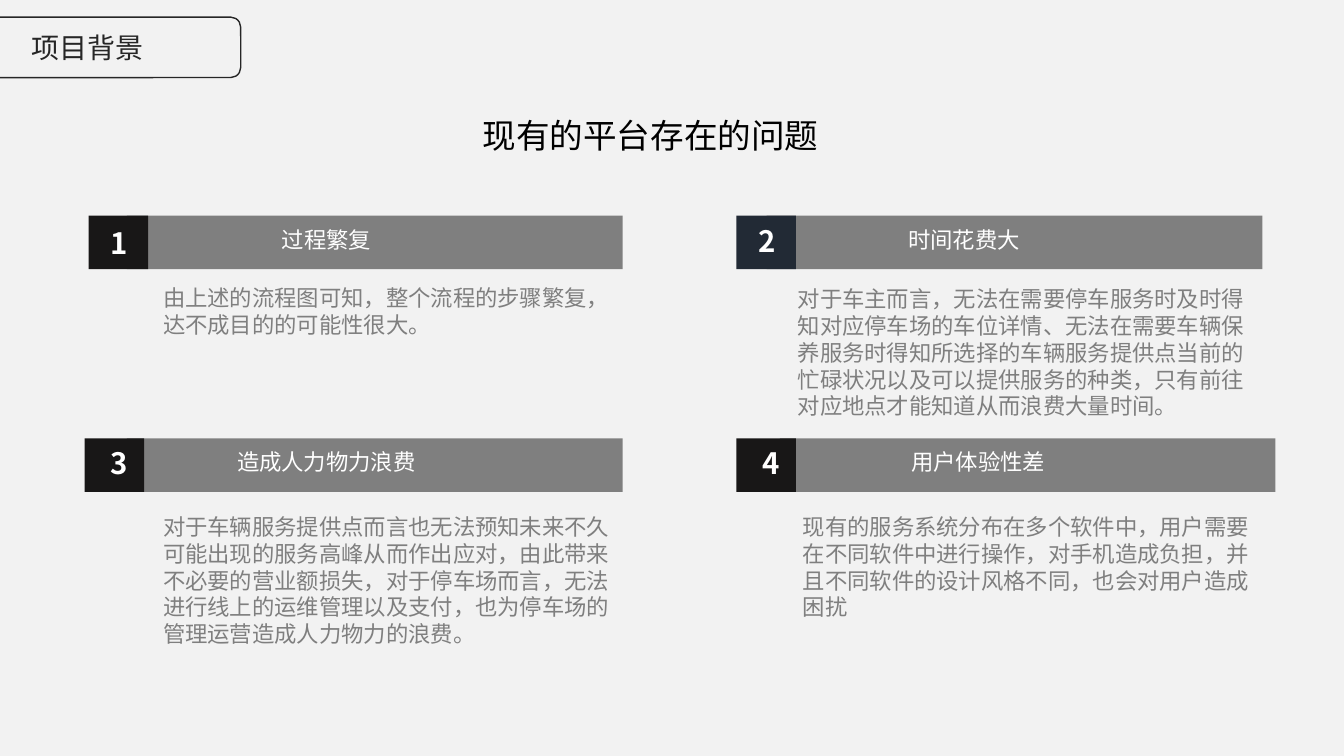
from lxml import etree
from pptx import Presentation, util as u
from pptx.dml.color import RGBColor
from pptx.enum import shapes, text
from pptx.oxml.ns import qn

COLOURS = {"page": "F2F2F2", "bar": "7F7F7F", "badge": "181717", "navy": "222A35",
           "white": "FFFFFF", "black": "000000", "tag": "262626"}
FONT = "Noto Sans CJK SC"
TOP_ROW, BOTTOM_ROW = 2.14, 4.35
BAR_WIDTH, BAR_HEIGHT, BADGE_WIDTH = 4.92, 0.53, 0.59

# number, row top, badge left, bar left, heading left, number (left, top), body (left, top, width, height)
PROBLEMS = [
    ("1", TOP_ROW, 0.88, 1.26, 1.59, (0.92, 2.18), (1.52, 2.77, 4.59, 1.12), "badge", "过程繁复",
     "由上述的流程图可知，整个流程的步骤繁复，达不成目的的可能性很大。"),
    ("2", TOP_ROW, 7.31, 7.61, 7.92, (7.35, 2.16), (7.82, 2.78, 4.68, 1.76), "navy", "时间花费大",
     "对于车主而言，无法在需要停车服务时及时得知对应停车场的车位详情、"
     "无法在需要车辆保养服务时得知所选择的车辆服务提供点当前的忙碌状况"
     "以及可以提供服务的种类，只有前往对应地点才能知道从而浪费大量时间。"),
    ("3", BOTTOM_ROW, 0.84, 1.26, 1.59, (0.92, 4.37), (1.52, 5.04, 4.68, 1.44), "badge", "造成人力物力浪费",
     "对于车辆服务提供点而言也无法预知未来不久可能出现的服务高峰从而作出应对，"
     "由此带来不必要的营业额损失，对于停车场而言，无法进行线上的运维管理以及支付，"
     "也为停车场的管理运营造成人力物力的浪费。"),
    ("4", BOTTOM_ROW, 7.31, 7.74, 8.06, (7.39, 4.37), (7.87, 5.04, 4.68, 1.17), "badge", "用户体验性差",
     "现有的服务系统分布在多个软件中，用户需要在不同软件中进行操作，对手机造成负担，"
     "并且不同软件的设计风格不同，也会对用户造成困扰"),
]


def inches(*lengths):
    """Turn plain numbers into slide lengths."""
    return [u.Inches(length) for length in lengths]


def colour(name):
    """Look up a named colour."""
    return RGBColor.from_string(COLOURS[name])


def write(box, words, size, ink, align=text.PP_ALIGN.LEFT, bold=False, font=FONT):
    """Fill a text holder with one formatted paragraph."""
    frame = box.text_frame
    frame.word_wrap = True
    frame.auto_size = text.MSO_AUTO_SIZE.NONE
    frame.vertical_anchor = text.MSO_ANCHOR.TOP
    para = frame.paragraphs[0]
    para.text = words
    para.alignment = align
    para.line_spacing = u.Pt(size * 1.2)
    para.font.size = u.Pt(size)
    para.font.bold = bold
    para.font.name = font
    para.font.color.rgb = colour(ink)
    defaults = para._p.pPr.find(qn("a:defRPr"))
    etree.SubElement(defaults, qn("a:ea")).set("typeface", font)


def add_text(page, place, *style, **options):
    """Add a text box at left, top, width, height."""
    write(page.shapes.add_textbox(*inches(*place)), *style, **options)


def add_block(page, place, fill):
    """Add a flat filled rectangle."""
    block = page.shapes.add_shape(shapes.MSO_SHAPE.RECTANGLE, *inches(*place))
    block.shadow.inherit = False
    block.fill.solid()
    block.fill.fore_color.rgb = colour(fill)
    block.line.fill.background()


def add_problem(page, number, top, badge_left, bar_left, heading_left,
                number_place, body_place, badge_fill, heading, body):
    """Add a numbered heading bar with its explanation."""
    centre = text.PP_ALIGN.CENTER
    add_block(page, (bar_left, top, BAR_WIDTH, BAR_HEIGHT), "bar")
    add_text(page, body_place, body, 16, "bar")
    add_text(page, (heading_left, top + 0.05, 3.3, 0.37), heading, 16, "white", align=centre)
    add_block(page, (badge_left, top, BADGE_WIDTH, BAR_HEIGHT), badge_fill)
    add_text(page, (*number_place, 0.52, 0.45), number, 21, "white", align=centre, bold=True)


def add_section_tag(page, words):
    """Add the outlined section tag that runs off the left edge."""
    tag = page.shapes.add_shape(shapes.MSO_SHAPE.ROUNDED_RECTANGLE, *inches(-0.57, 0.17, 2.96, 0.6))
    tag.shadow.inherit = False
    tag.fill.background()
    tag.line.color.rgb = colour("tag")
    tag.line.width = u.Pt(1)
    add_text(page, (0.21, 0.25, 1.5, 0.44), words, 20, "tag", font="Quicksand")


def add_title(page, words):
    """Place and fill the title placeholder."""
    title = page.shapes.title
    title.left, title.top, title.width, title.height = inches(4.69, 1.09, 4.48, 0.5)
    write(title, words, 24, "black")


def main():
    """Build and save the deck."""
    deck = Presentation()
    deck.slide_width, deck.slide_height = inches(13.34, 7.5)
    page = deck.slides.add_slide(deck.slide_layouts.get_by_name("Title Only"))
    page.background.fill.solid()
    page.background.fill.fore_color.rgb = colour("page")
    add_title(page, "现有的平台存在的问题")
    for problem in PROBLEMS:
        add_problem(page, *problem)
    add_section_tag(page, "项目背景")
    deck.save("out.pptx")


main()
